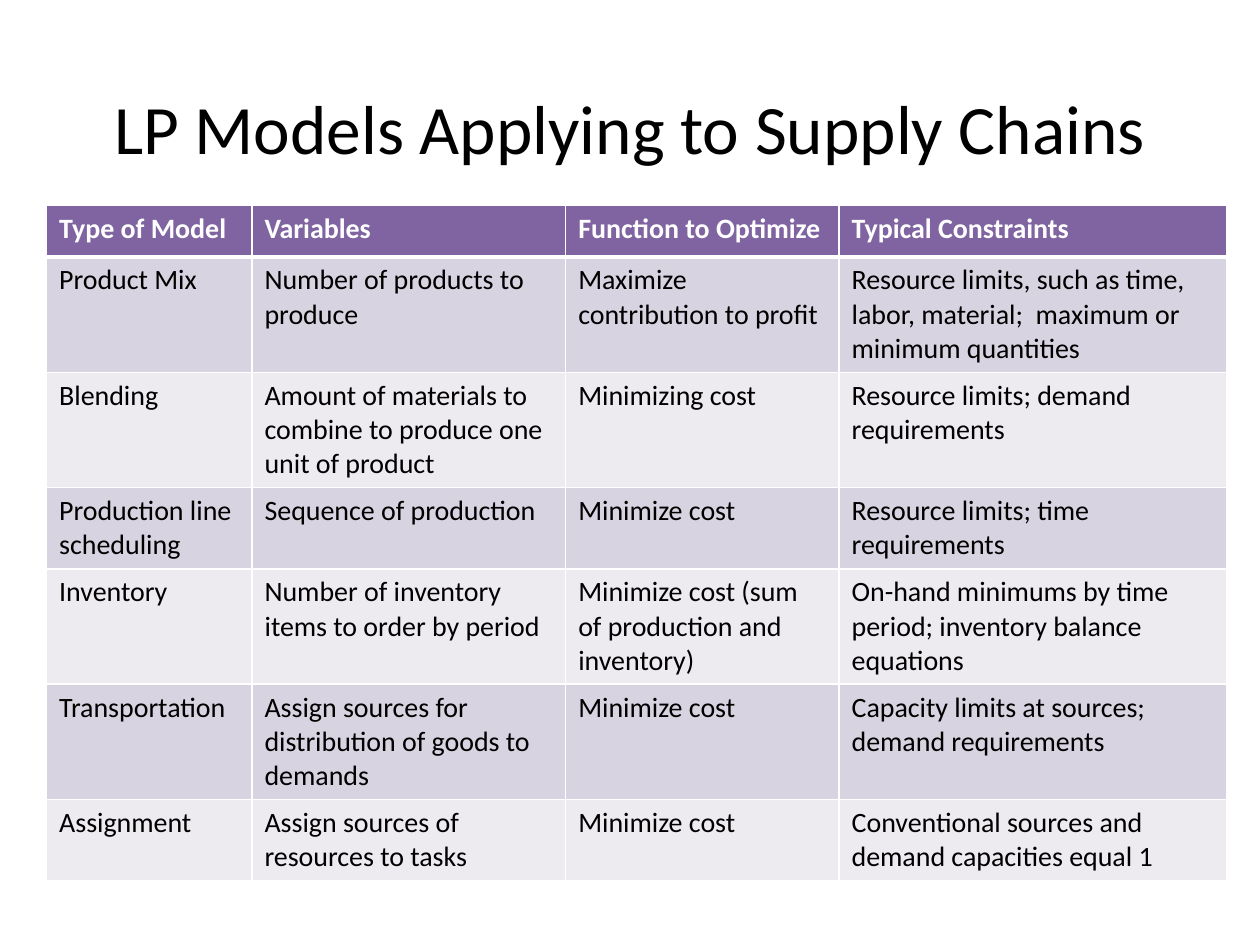
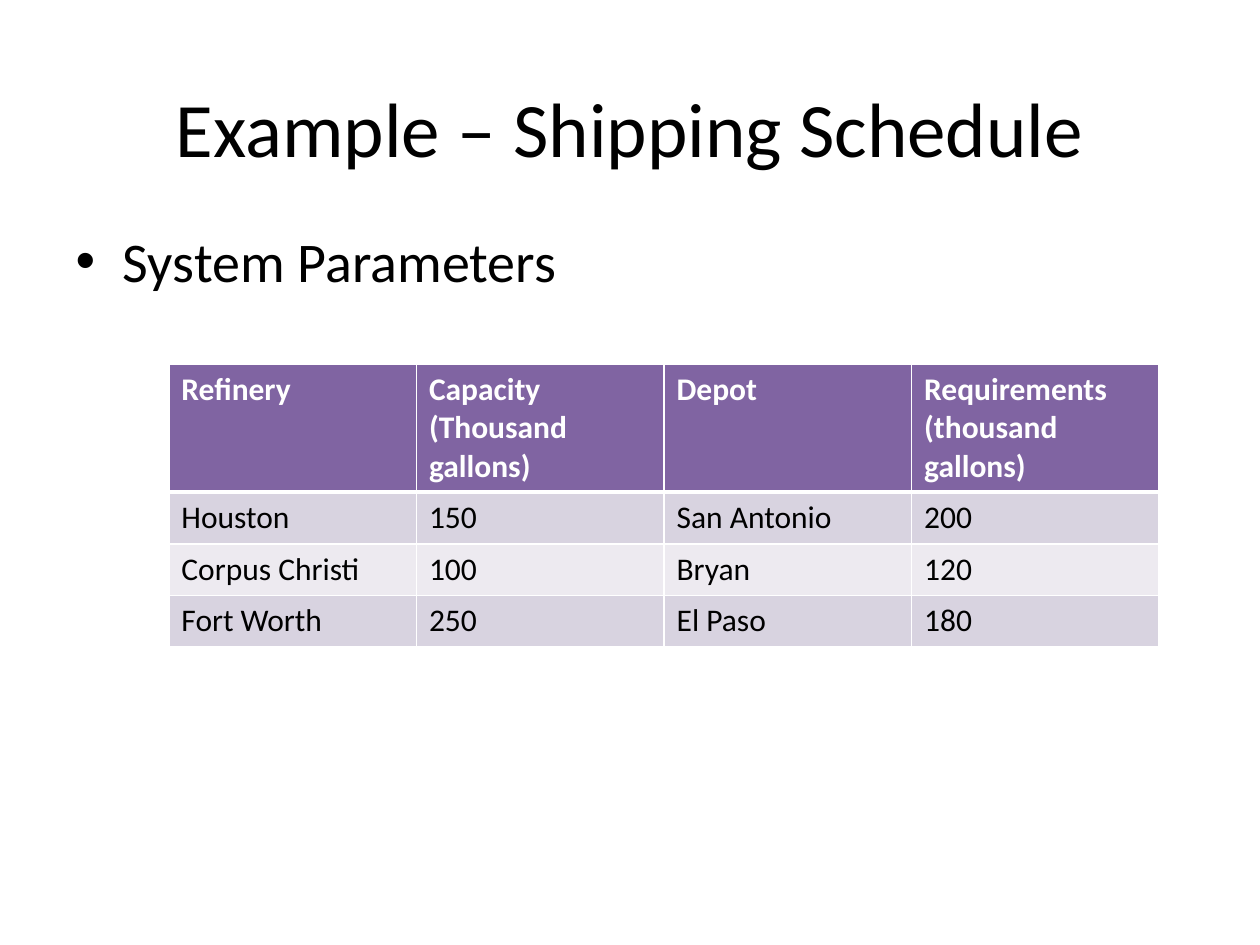
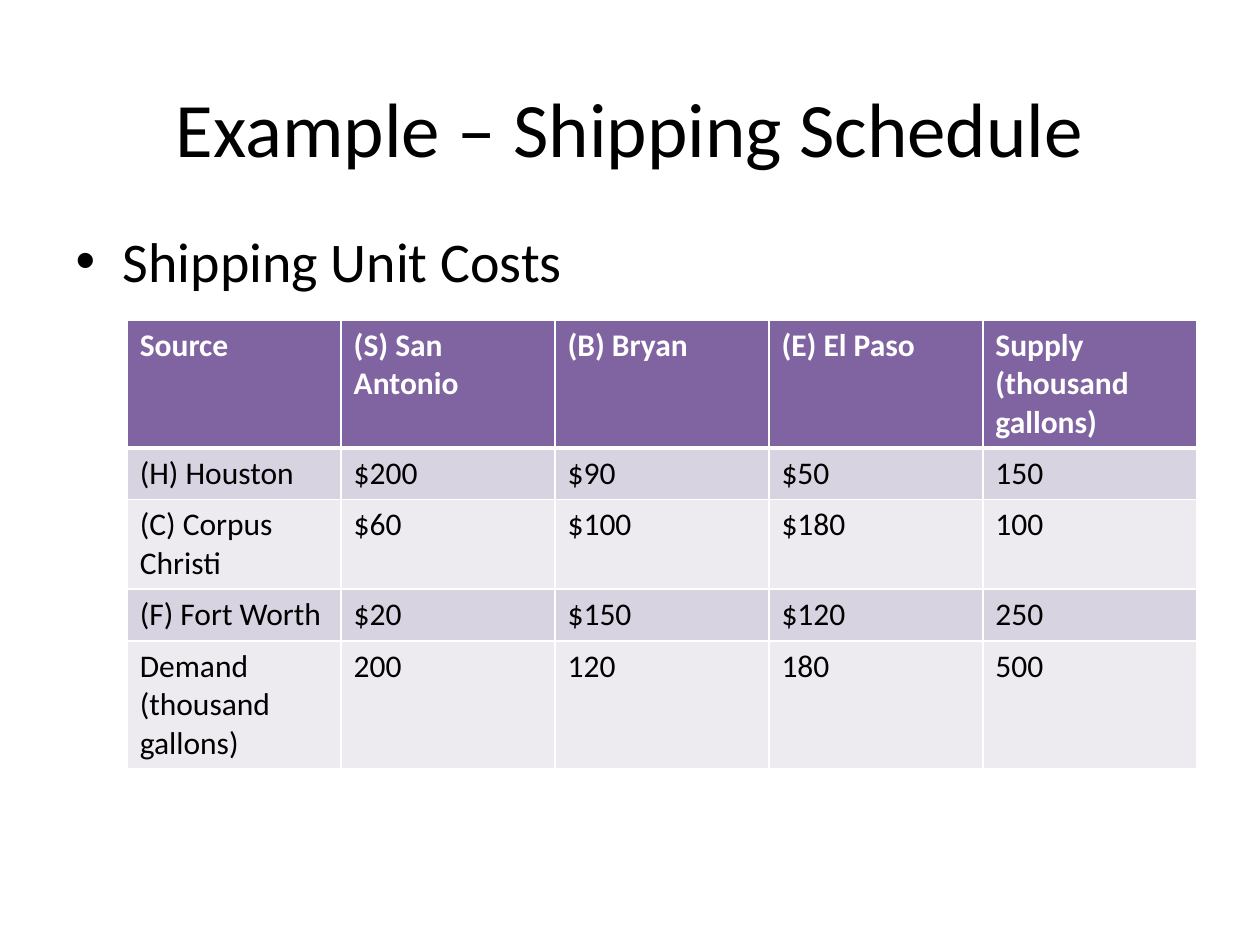
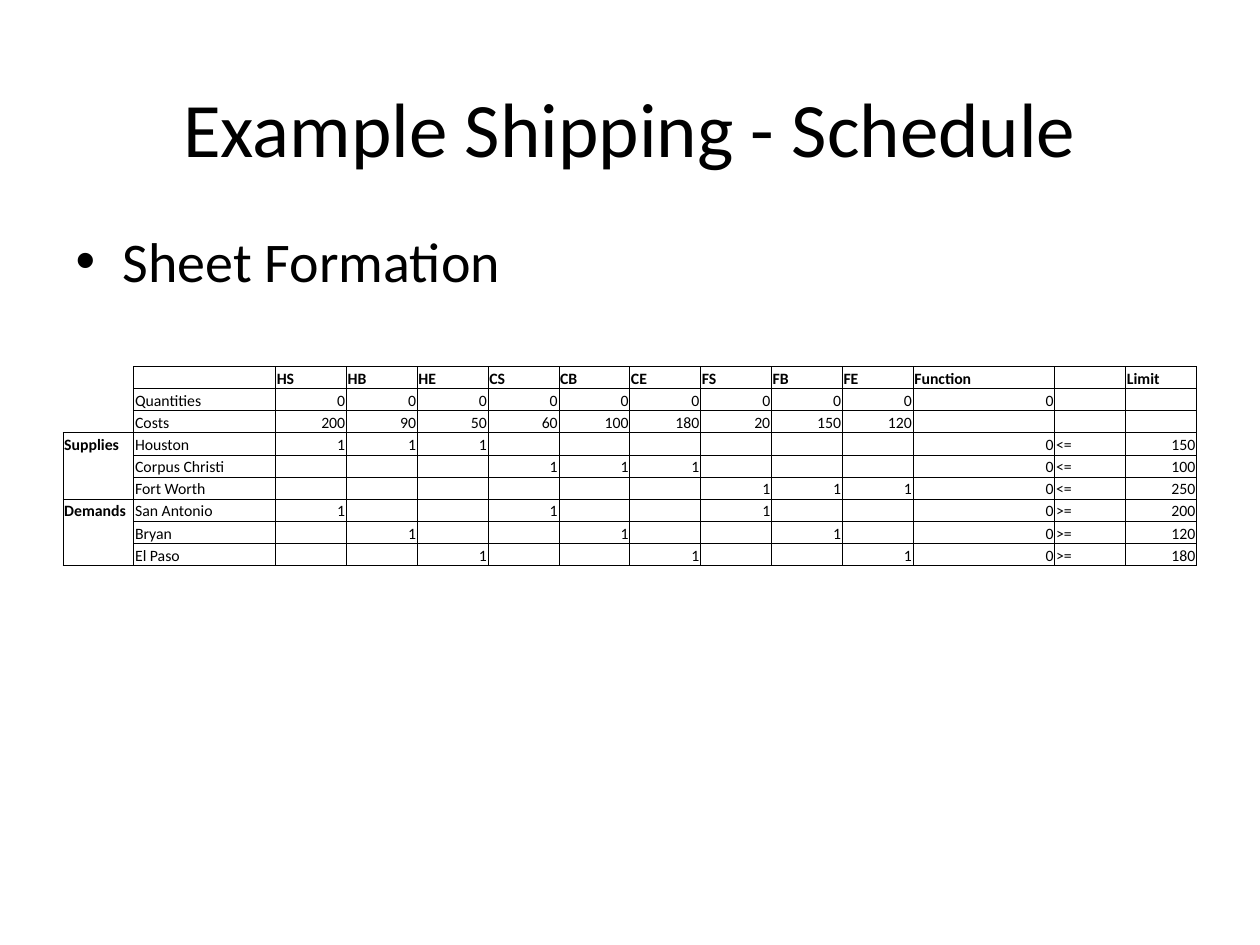
from dataclasses import dataclass

from lxml import etree
from pptx import Presentation
from pptx.dml.color import RGBColor
from pptx.enum import text
from pptx.oxml.ns import qn
from pptx.util import Inches, Pt

FONT = "Calibri"
HUE = {"ink": "000000", "paper": "FFFFFF", "head": "8064A2",
       "odd": "D8D3E0", "even": "EDEAF0"}
TITLE = (0.5, 0.38, 9, 1.25)
BODY = (0.5, 1.75, 9, 4.95)
SIDES = "LRTB"
LEFT, RIGHT = text.PP_ALIGN.LEFT, text.PP_ALIGN.RIGHT


@dataclass
class Grid:
    """A table: its box, relative column widths, and one line of text per row."""
    box: tuple
    cols: list
    rows: list
    size: float = 18
    high: float = 0.41
    plain: bool = False

    def cells(self) -> list:
        return [[part.strip(" ") for part in line.split("|")]
                for line in self.rows]


@dataclass
class Page:
    title: str
    grid: Grid
    point: str = ""
    size: float = 44


MODELS = [
    "Type of Model|Variables|Function to Optimize|Typical Constraints",
    "Product Mix|Number of products to produce|Maximize contribution to profit"
    "|Resource limits, such as time, labor, material;  maximum or minimum quantities",
    "Blending|Amount of materials to combine to produce one unit of product"
    "|Minimizing cost|Resource limits; demand requirements",
    "Production line scheduling|Sequence of production"
    "|Minimize cost|Resource limits; time requirements",
    "Inventory|Number of inventory items to order by period"
    "|Minimize cost (sum of production and inventory)"
    "|On-hand minimums by time period; inventory balance equations",
    "Transportation|Assign sources for distribution of goods to demands"
    "|Minimize cost|Capacity limits at sources; demand requirements",
    "Assignment|Assign sources of resources to tasks"
    "|Minimize cost|Conventional sources and demand capacities equal 1",
]

PLANTS = [
    "Refinery|Capacity (Thousand gallons)|Depot|Requirements (thousand gallons)",
    "Houston|150|San Antonio|200",
    "Corpus Christi|100|Bryan|120",
    "Fort Worth|250|El Paso|180",
]

COSTS = [
    "Source|(S) San Antonio|(B) Bryan|(E) El Paso|Supply (thousand gallons)",
    "(H) Houston|$200|$90|$50|150",
    "(C) Corpus Christi|$60|$100|$180|100",
    "(F) Fort Worth|$20|$150|$120|250",
    "Demand (thousand gallons)|200|120|180|500",
]

SHEET = [
    "        |               |HS |HB|HE|CS|CB |CE |FS|FB |FE |Function|  |Limit",
    "        |Quantities     |0  |0 |0 |0 |0  |0  |0 |0  |0  |0       |  |",
    "        |Costs          |200|90|50|60|100|180|20|150|120|        |  |",
    "Supplies|Houston        |1  |1 |1 |  |   |   |  |   |   |0       |<=|150",
    "        |Corpus Christi |   |  |  |1 |1  |1  |  |   |   |0       |<=|100",
    "        |Fort Worth     |   |  |  |  |   |   |1 |1  |1  |0       |<=|250",
    "Demands |San Antonio    |1  |  |  |1 |   |   |1 |   |   |0       |>=|200",
    "        |Bryan          |   |1 |  |  |1  |   |  |1  |   |0       |>=|120",
    "        |El Paso        |   |  |1 |  |   |1  |  |   |1  |0       |>=|180",
]
TOP = 3    # rows above the first group of limits
GROUP = 3  # rows in each group of limits

PAGES = [
    Page("LP Models Applying to Supply Chains",
         Grid((0.37, 1.63, 9.37, 5.27), [1.63, 2.49, 2.17, 3.08], MODELS, 16),
         size=39.6),
    Page("Example – Shipping Schedule",
         Grid((1.34, 2.89, 7.86, 2.22), [1] * 4, PLANTS), "System Parameters"),
    Page("Example – Shipping Schedule",
         Grid((1.01, 2.54, 8.49, 3.51), [1] * 5, COSTS), "Shipping Unit Costs"),
    Page("Example Shipping - Schedule",
         Grid((0.5, 2.91, 9, 1.58), [1, 2] + [1] * 9 + [2, 1, 1], SHEET,
              9, 1.58 / 9, plain=True), "Sheet Formation"),
]


def put(item, values: dict) -> None:
    """Set each named attribute of the item."""
    for name, value in values.items():
        setattr(item, name, value)


def ink(font, size: float, hue: str = "ink", bold: bool = False) -> None:
    put(font, {"name": FONT, "size": Pt(size), "bold": bold})
    font.color.rgb = RGBColor.from_string(HUE[hue])


def place(shape, box: tuple) -> None:
    put(shape, dict(zip(("left", "top", "width", "height"), map(Inches, box))))


def write(shape, box: tuple, words: str, size: float) -> None:
    place(shape, box)
    run = shape.text_frame.paragraphs[0].add_run()
    run.text = words
    ink(run.font, size)


def edge(cell, hue: str, wide: dict) -> None:
    """Draw the cell's borders; a width of 0 means no line."""
    props = cell._tc.get_or_add_tcPr()
    for side in SIDES:
        points = wide[side]
        line = etree.SubElement(props, qn(f"a:ln{side}"), w=str(Pt(points)))
        if points:
            fill = etree.SubElement(line, qn("a:solidFill"))
            etree.SubElement(fill, qn("a:srgbClr"), val=HUE[hue])
        else:
            etree.SubElement(line, qn("a:noFill"))


def fill_cell(cell, words: str, size: float, hue: str, bold: bool, align) -> None:
    para = cell.text_frame.paragraphs[0]
    para.alignment = align
    if words:
        run = para.add_run()
        run.text = words
        ink(run.font, size, hue, bold)
    else:
        etree.SubElement(para._p, qn("a:endParaRPr"), sz=str(round(size * 100)))


def band_cell(cell, words: str, row: int, size: float) -> None:
    """Style a cell of a table with a dark head and banded rows."""
    head = row == 0
    wide = dict.fromkeys(SIDES, 1)
    if row < 2:
        wide["B" if head else "T"] = 3
    edge(cell, "paper", wide)
    cell.fill.solid()
    band = "head" if head else "odd" if row % 2 else "even"
    cell.fill.fore_color.rgb = RGBColor.from_string(HUE[band])
    fill_cell(cell, words, size, "paper" if head else "ink", head, LEFT)


def sheet_cell(cell, words: str, row: int, col: int, size: float) -> None:
    """Style a cell of a ruled sheet whose first column names groups of rows."""
    wide = dict.fromkeys(SIDES, 0.5)
    if col == 0:
        step = (row - TOP) % GROUP
        wide = {"L": 0.5 if row >= TOP else 0, "R": 0.5,
                "T": 0.5 if row >= TOP and step == 0 else 0,
                "B": 0.5 if step == GROUP - 1 else 0}
    edge(cell, "ink", wide)
    cell.fill.background()
    thin = Inches(0.01)
    put(cell, {"margin_left": thin, "margin_right": thin, "margin_top": thin,
               "margin_bottom": 0, "vertical_anchor": text.MSO_ANCHOR.BOTTOM})
    fill_cell(cell, words, size, "ink", row == 0 or col == 0,
              RIGHT if words.isdigit() else LEFT)


def draw_grid(slide, grid: Grid) -> None:
    cells = grid.cells()
    frame = slide.shapes.add_table(len(cells), len(grid.cols),
                                   *map(Inches, grid.box))
    table = frame.table
    put(table, {"first_row": False, "horz_banding": False})
    unit = grid.box[2] / sum(grid.cols)
    for column, share in zip(table.columns, grid.cols):
        column.width = Inches(unit * share)
    for r, line in enumerate(cells):
        table.rows[r].height = Inches(grid.high)
        for c, words in enumerate(line):
            cell = table.cell(r, c)
            if grid.plain:
                sheet_cell(cell, words, r, c, grid.size)
            else:
                band_cell(cell, words, r, grid.size)
    place(frame, grid.box)


def draw_page(deck, page: Page) -> None:
    layout = deck.slide_layouts[1 if page.point else 5]
    slide = deck.slides.add_slide(layout)
    write(slide.shapes.title, TITLE, page.title, page.size)
    if page.point:
        write(slide.placeholders[1], BODY, page.point, 32)
    draw_grid(slide, page.grid)


def main() -> None:
    deck = Presentation()
    put(deck, {"slide_width": Inches(10), "slide_height": Inches(7.5)})
    for page in PAGES:
        draw_page(deck, page)
    deck.save("out.pptx")


if __name__ == "__main__":
    main()
